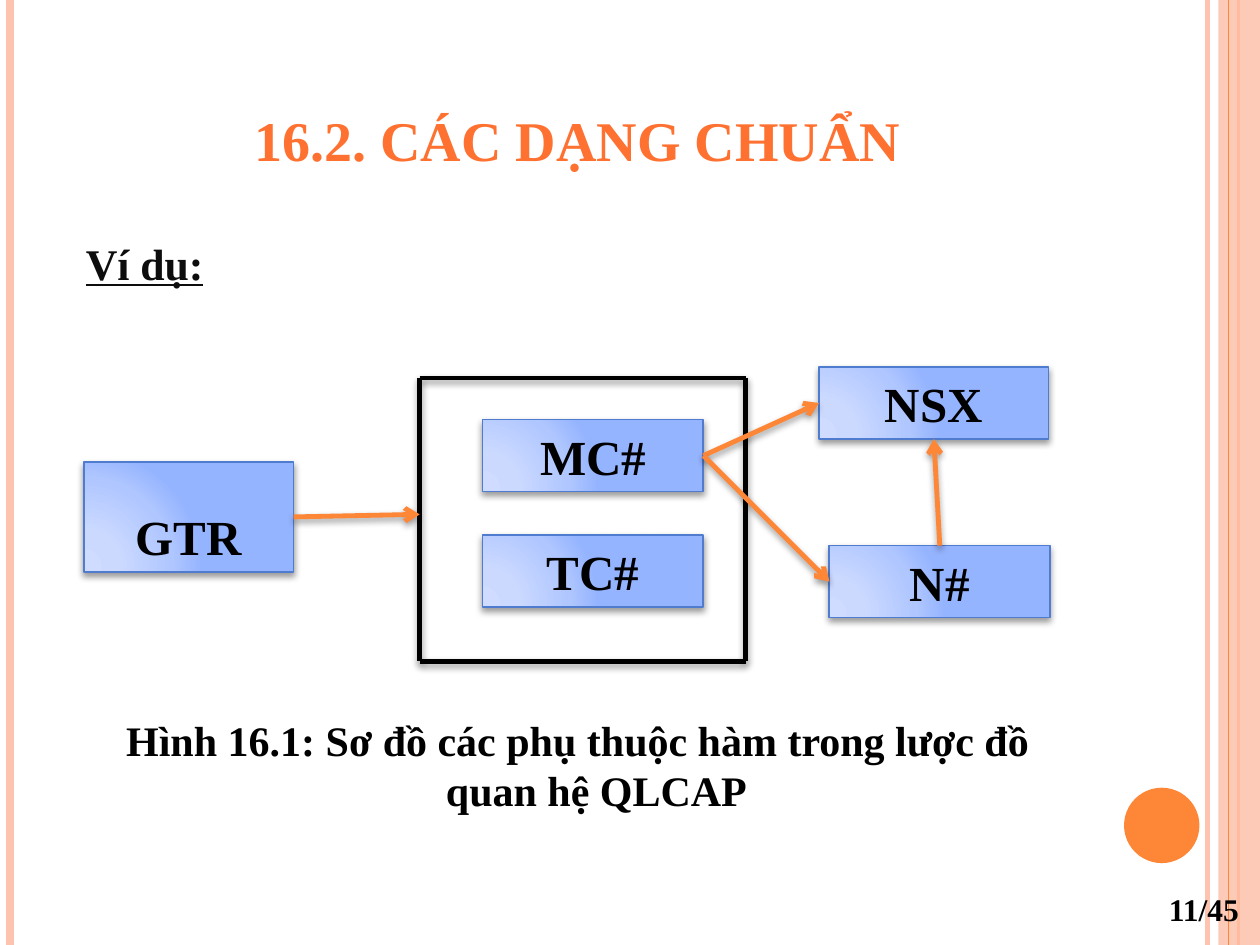
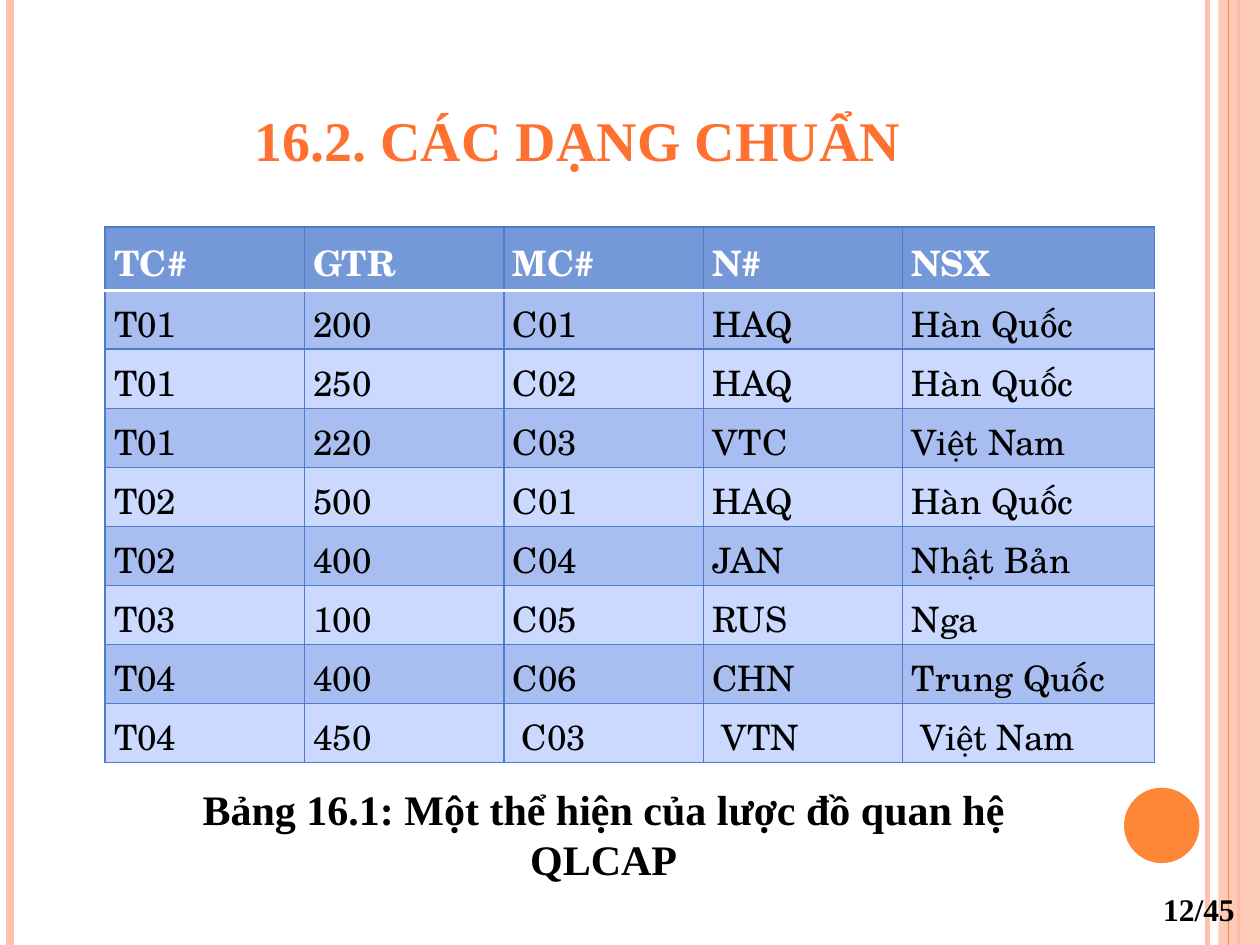
"""Build two slides on normal forms: a dependency diagram and a sample relation table."""
from lxml.etree import SubElement
from pptx import Presentation
from pptx.dml.color import RGBColor
from pptx.enum.shapes import MSO_CONNECTOR as LINK, MSO_SHAPE as SHAPE
from pptx.enum.text import MSO_ANCHOR as ANCHOR, MSO_AUTO_SIZE as FIT, PP_ALIGN as ALIGN
from pptx.oxml import parse_xml
from pptx.oxml.ns import nsdecls, qn
from pptx.util import Cm, Pt

ORANGE = RGBColor(0xFE, 0x86, 0x37)
TITLE_ORANGE = RGBColor(0xFE, 0x71, 0x31)
PEACH = RGBColor(0xFE, 0xC3, 0xAE)
BLUE = RGBColor(0x4F, 0x7C, 0xCF)
HEADER_BLUE = RGBColor(0x75, 0x98, 0xD9)
DARK_BAND = RGBColor(0xA9, 0xBE, 0xF0)
LIGHT_BAND = RGBColor(0xCB, 0xD9, 0xFF)
BLACK = RGBColor(0, 0, 0)
NEAR_BLACK = RGBColor(0x0D, 0x0D, 0x0D)
WHITE = RGBColor(0xFF, 0xFF, 0xFF)

SERIF = "Times New Roman"
SCHOOL = "TeX Gyre Schola"
WIDTH, HEIGHT = 25.4, 19.05

NO_EFFECT = f"<a:effectLst {nsdecls('a')}/>"
SHADOW = (
    f"<a:effectLst {nsdecls('a')}>"
    '<a:outerShdw blurRad="50800" dist="25400" dir="5400000" rotWithShape="0">'
    '<a:srgbClr val="000000"><a:alpha val="40000"/></a:srgbClr>'
    "</a:outerShdw></a:effectLst>"
)
STOPS = [(0, "CFDCFF"), (30, "CBD9FF"), (75, "AFC6FF"), (100, "95B4FF")]
GLOW = (
    f'<a:gradFill {nsdecls("a")} rotWithShape="1"><a:gsLst>'
    + "".join(f'<a:gs pos="{at * 1000}"><a:srgbClr val="{color}"/></a:gs>' for at, color in STOPS)
    + '</a:gsLst><a:path path="circle">'
    '<a:fillToRect l="5000" t="100000" r="120000" b="10000"/></a:path></a:gradFill>'
)


def write(frame, text, size, color=BLACK, font=SERIF, bold=True, align=ALIGN.CENTER):
    """Put one styled run in the first paragraph and return that paragraph."""
    para = frame.paragraphs[0]
    para.alignment = align
    span = para.add_run()
    span.text = text
    span.font.size = Pt(size)
    span.font.name = font
    span.font.bold = bold
    span.font.color.rgb = color
    return para


def draw_line(page, ends, color, width, effect=NO_EFFECT):
    """Draw a straight line between two points given in centimetres."""
    line = page.shapes.add_connector(LINK.STRAIGHT, *[Cm(value) for value in ends])
    line.line.color.rgb = color
    line.line.width = Pt(width)
    line.element.spPr.append(parse_xml(effect))
    return line


deck = Presentation()
deck.slide_width, deck.slide_height = Cm(WIDTH), Cm(HEIGHT)
title_only = deck.slide_layouts[5]
diagram_page = deck.slides.add_slide(title_only)
table_page = deck.slides.add_slide(title_only)

numbers = [(diagram_page, "11/45", 23.14), (table_page, "12/45", 22.94)]
for page, number, number_left in numbers:
    for x, color, width in [(24.34, PEACH, 3), (0.21, PEACH, 4.5), (24.97, ORANGE, 1.5)]:
        draw_line(page, (x, 0, x, HEIGHT), color, width)
    band = page.shapes.add_shape(SHAPE.RECTANGLE, Cm(24.56), 0, Cm(0.84), Cm(HEIGHT))
    draw_line(page, (24.77, 0, 24.77, HEIGHT), ORANGE, 0.75)
    dot = page.shapes.add_shape(SHAPE.OVAL, Cm(22.66), Cm(15.88), Cm(1.52), Cm(1.52))
    for shape, color in [(band, PEACH), (dot, ORANGE)]:
        shape.fill.solid()
        shape.fill.fore_color.rgb = color
        shape.line.fill.background()
        shape.shadow.inherit = False
    band_color = band.element.spPr.find(qn("a:solidFill"))[0]
    SubElement(band_color, qn("a:alpha")).set("val", "87000")

    title = page.shapes.title
    title.left, title.top, title.width, title.height = Cm(1.27), Cm(0.76), Cm(20.75), Cm(2.84)
    title.text_frame.auto_size = FIT.NONE
    title.text_frame.vertical_anchor = ANCHOR.BOTTOM
    write(title.text_frame, "16.2. CÁC DẠNG CHUẨN", 32, TITLE_ORANGE)

    box = page.shapes.add_textbox(Cm(number_left), Cm(17.6), Cm(WIDTH - number_left), Cm(1.45))
    box.text_frame.word_wrap = True
    box.text_frame.vertical_anchor = ANCHOR.MIDDLE
    write(box.text_frame, number, 18)

nodes = {}
for name, left, top, width, height, anchor in [
    ("GTR", 1.69, 9.31, 4.23, 2.22, ANCHOR.BOTTOM),
    ("MC#", 9.73, 8.46, 4.45, 1.45, ANCHOR.MIDDLE),
    ("TC#", 9.73, 10.79, 4.45, 1.45, ANCHOR.MIDDLE),
    ("NSX", 16.51, 7.4, 4.63, 1.45, ANCHOR.MIDDLE),
    ("N#", 16.72, 11, 4.45, 1.45, ANCHOR.MIDDLE),
]:
    node = diagram_page.shapes.add_shape(
        SHAPE.RECTANGLE, Cm(left), Cm(top), Cm(width), Cm(height))
    node.element.spPr.append(parse_xml(GLOW))
    node.line.color.rgb = BLUE
    node.line.width = Pt(1)
    node.element.spPr.append(parse_xml(SHADOW))
    node.text_frame.vertical_anchor = anchor
    write(node.text_frame, name, 28)
    nodes[name] = node

left, top, right, bottom = 8.46, 7.62, 15.03, 13.33
for ends in [
    (left, top, left, bottom),
    (left, top, right, top),
    (right, top, right, bottom),
    (left, bottom, right, bottom),
]:
    draw_line(diagram_page, ends, BLACK, 2.75, SHADOW)

TOP, LEFT, BOTTOM, RIGHT = range(4)
for source, source_side, target, target_side in [
    ("GTR", RIGHT, None, None),
    ("MC#", RIGHT, "NSX", LEFT),
    ("MC#", RIGHT, "N#", LEFT),
    ("N#", TOP, "NSX", BOTTOM),
]:
    arrow = draw_line(diagram_page, (5.92, 10.42, left, 10.37), ORANGE, 2.75, SHADOW)
    arrow.begin_connect(nodes[source], source_side)
    if target:
        arrow.end_connect(nodes[target], target_side)
    SubElement(arrow.element.spPr.find(qn("a:ln")), qn("a:tailEnd")).set("type", "arrow")

example = diagram_page.shapes.add_textbox(Cm(1.48), Cm(4.64), Cm(5.72), Cm(1.32))
example.text_frame.word_wrap = True
para = write(example.text_frame, "Ví dụ:", 25, NEAR_BLACK, align=ALIGN.LEFT)
para.runs[0].font.underline = True

captions = []
for page, text, left, top, width in [
    (diagram_page, "Hình 16.1: Sơ đồ các phụ thuộc hàm trong lược đồ quan hệ QLCAP", 1.47, 14.26, 20.35),
    (table_page, "Bảng 16.1: Một thể hiện của lược đồ quan hệ QLCAP", 2.96, 15.65, 18.42),
]:
    caption = page.shapes.add_textbox(Cm(left), Cm(top), Cm(width), Cm(2.31))
    caption.text_frame.word_wrap = True
    caption.text_frame.vertical_anchor = ANCHOR.MIDDLE
    captions.append(write(caption.text_frame, text, 24))
hanging = captions[0]._p.get_or_add_pPr()
hanging.set("marL", str(Cm(0.76)))
hanging.set("indent", str(Cm(-0.76)))

rows = [
    ("TC#", "GTR", "MC#", "N#", "NSX"),
    ("T01", "200", "C01", "HAQ", "Hàn Quốc"),
    ("T01", "250", "C02", "HAQ", "Hàn Quốc"),
    ("T01", "220", "C03", "VTC", "Việt Nam"),
    ("T02", "500", "C01", "HAQ", "Hàn Quốc"),
    ("T02", "400", "C04", "JAN", "Nhật Bản"),
    ("T03", "100", "C05", "RUS", "Nga"),
    ("T04", "400", "C06", "CHN", "Trung Quốc"),
    ("T04", "450", "C03", "VTN", "Việt Nam"),
]
column_widths = [4.02] * 4 + [5.08]
row_heights = [1.27] + [1.19] * 8
table = table_page.shapes.add_table(
    len(rows), len(column_widths), Cm(2.12), Cm(4.58),
    Cm(sum(column_widths)), Cm(sum(row_heights))).table
for column, width in zip(table.columns, column_widths):
    column.width = Cm(width)
for r, values in enumerate(rows):
    table.rows[r].height = Cm(row_heights[r])
    for c, value in enumerate(values):
        cell = table.cell(r, c)
        cell.margin_left = cell.margin_right = Cm(0.18)
        cell.margin_top = cell.margin_bottom = 0
        para = write(cell.text_frame, value, 20, BLACK if r else WHITE, SCHOOL, r == 0, ALIGN.LEFT)
        para.line_spacing = 1.15
        if r == len(rows) - 1 and c >= 2:
            para._p.get_or_add_pPr().set("marL", str(Cm(0.18)))
        properties = cell._tc.get_or_add_tcPr()
        for side in ("lnL", "lnR", "lnT", "lnB"):
            under_header = (r, side) in [(0, "lnB"), (1, "lnT")]
            color, width = (WHITE, 2) if under_header else (BLUE, 1)
            edge = SubElement(properties, qn(f"a:{side}"), w=str(Pt(width)))
            SubElement(SubElement(edge, qn("a:solidFill")), qn("a:srgbClr"), val=str(color))
        cell.fill.solid()
        cell.fill.fore_color.rgb = HEADER_BLUE if r == 0 else DARK_BAND if r % 2 else LIGHT_BAND

deck.save("out.pptx")
